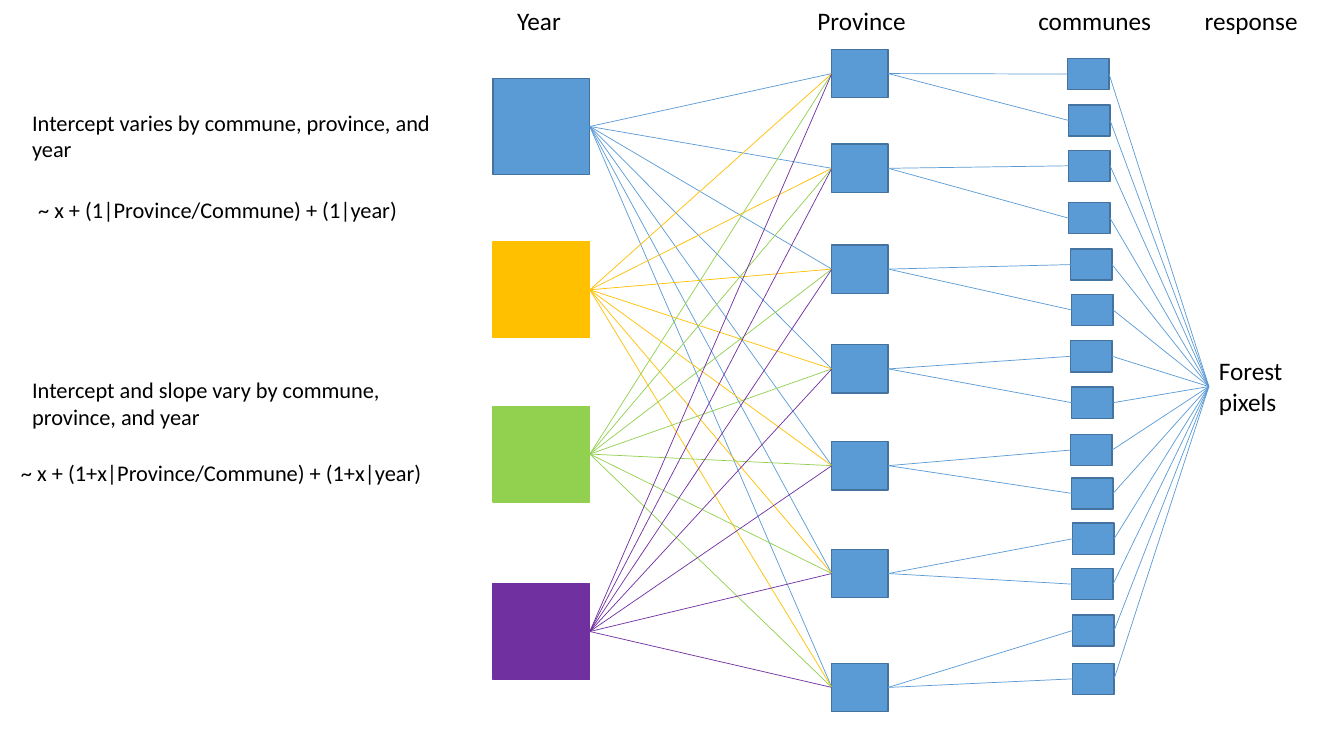
from lxml import etree
from pptx import Presentation
from pptx.dml.color import RGBColor
from pptx.enum import shapes, text
from pptx.oxml.ns import qn
from pptx.util import Inches, Pt

THEME = {
    "font": "Calibri", "text": "000000", "heading": 18, "formula": 16,
    "blue": "5B9BD5", "outline": "43739E",
    "gold": "FFC000", "green": "92D050", "purple": "7030A0",
    "box_line": 1, "link_line": 0.5,
}
LEFT_SITE, RIGHT_SITE = 1, 3

presentation = Presentation()
presentation.slide_width, presentation.slide_height = Inches(13.33), Inches(7.5)
slide = presentation.slides.add_slide(presentation.slide_layouts[6])


def add_box(left, top, width, height, fill, outline):
    """Add a filled rectangle and return it."""
    box = slide.shapes.add_shape(
        shapes.MSO_SHAPE.RECTANGLE, *map(Inches, (left, top, width, height)))
    box.shadow.inherit = False
    box.fill.solid()
    box.fill.fore_color.rgb = RGBColor.from_string(fill)
    box.line.color.rgb = RGBColor.from_string(outline)
    box.line.width = Pt(THEME["box_line"])
    return box


def add_label(content, left, top, width, height, size):
    """Add a left-aligned text box and return it."""
    label = slide.shapes.add_textbox(*map(Inches, (left, top, width, height)))
    frame = label.text_frame
    frame.text = content
    font = frame.paragraphs[0].font
    font.color.rgb = RGBColor.from_string(THEME["text"])
    frame_format = {"word_wrap": True,
                    "auto_size": text.MSO_AUTO_SIZE.SHAPE_TO_FIT_TEXT}
    font_format = {"name": THEME["font"], "size": Pt(size)}
    for target, values in ((frame, frame_format), (font, font_format)):
        for name, value in values.items():
            setattr(target, name, value)
    return label


# Column headings
for heading, left, width in (("Year", 5.03, 0.8), ("Province", 8.01, 1.37),
                             ("communes", 10.2, 1.37), ("response", 11.85, 1.37)):
    add_label(heading, left, 0, width, 0.4, THEME["heading"])

# Model descriptions and formulas
for content, left, top, width, height in (
    ("Intercept varies by commune, province, and year", 0.22, 1.03, 4.38, 0.64),
    ("~ x + (1|Province/Commune) + (1|year)", 0.28, 1.9, 4.78, 0.37),
    ("Intercept and slope vary by commune, province, and year", 0.22, 3.68, 4.38, 0.64),
    ("~ x + (1+x|Province/Commune) + (1+x|year)", 0.11, 4.51, 4.78, 0.37),
):
    add_label(content, left, top, width, height, THEME["formula"])

# Nodes of the hierarchy
years = [
    (add_box(4.89, top, 0.96, 0.95, THEME[color], THEME[outline]), THEME[color])
    for top, color, outline in ((0.78, "blue", "outline"), (2.4, "gold", "gold"),
                                (4.03, "green", "green"), (5.79, "purple", "purple"))
]
provinces = [
    add_box(8.25, top, 0.56, 0.48, THEME["blue"], THEME["outline"])
    for top in (0.49, 1.43, 2.43, 3.42, 4.38, 5.45, 6.58)
]
communes = [
    add_box(left, top, 0.41, 0.31, THEME["blue"], THEME["outline"])
    for left, top in (
        (10.59, 0.58), (10.6, 1.04), (10.6, 1.49), (10.6, 2.01), (10.62, 2.47),
        (10.63, 2.92), (10.62, 3.38), (10.63, 3.84), (10.62, 4.31), (10.63, 4.74),
        (10.64, 5.19), (10.63, 5.64), (10.64, 6.1), (10.64, 6.58))
]
response = add_label("Forest pixels", 11.99, 3.48, 0.89, 0.71, THEME["heading"])

# Every commune leads to the response, every province holds two communes,
# and every year crosses every province
links = [(commune, response, THEME["blue"]) for commune in communes]
links += [(provinces[index // 2], commune, THEME["blue"])
          for index, commune in enumerate(communes)]
links += [(year, province, color) for year, color in years for province in provinces]

for source, target, color in links:
    link = slide.shapes.add_connector(shapes.MSO_CONNECTOR.STRAIGHT, 0, 0, 0, 0)
    link.begin_connect(source, RIGHT_SITE)
    link.end_connect(target, LEFT_SITE)
    link.line.color.rgb = RGBColor.from_string(color)
    link.line.width = Pt(THEME["link_line"])
    etree.SubElement(link._element.spPr, qn("a:effectLst"))

presentation.save("out.pptx")
